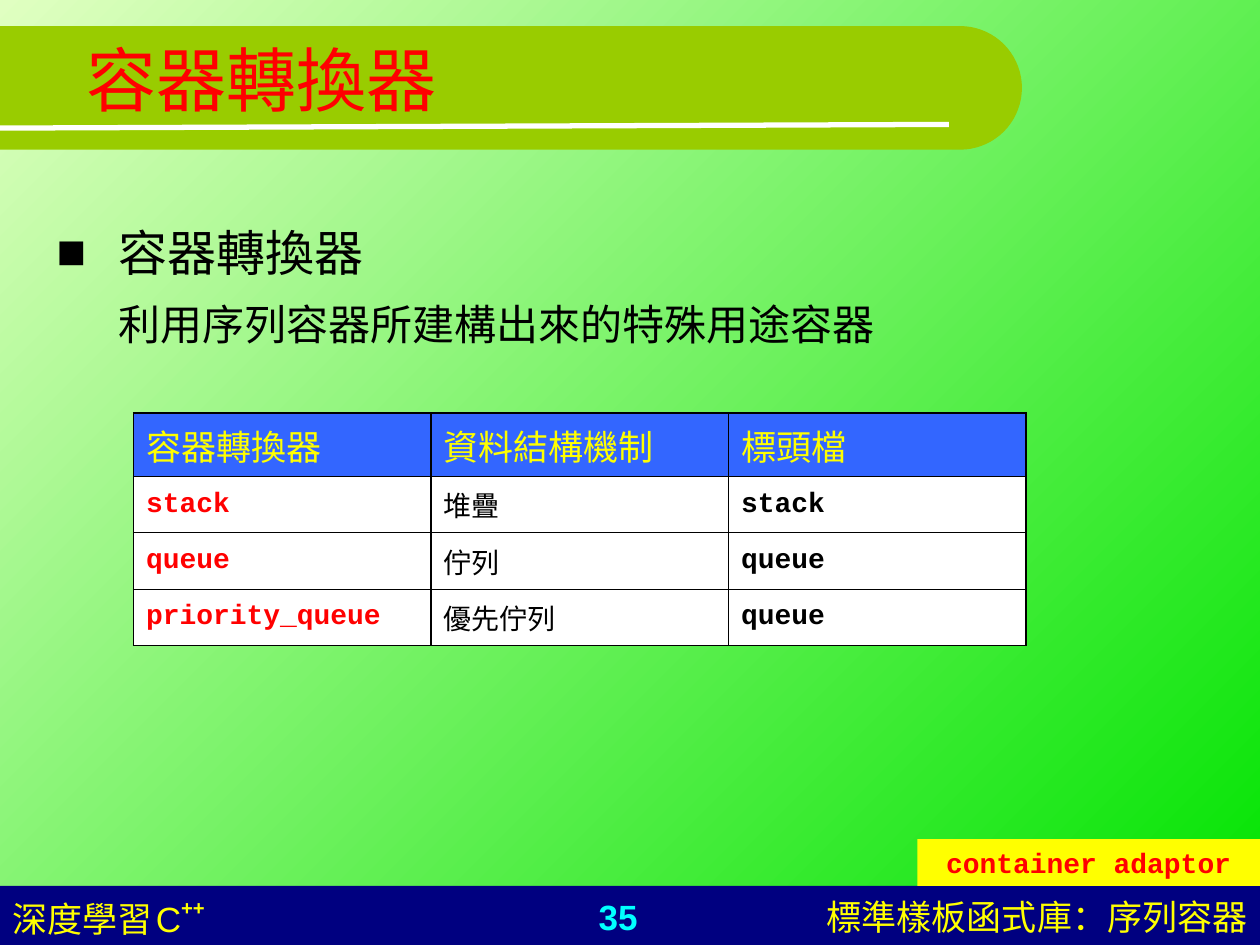
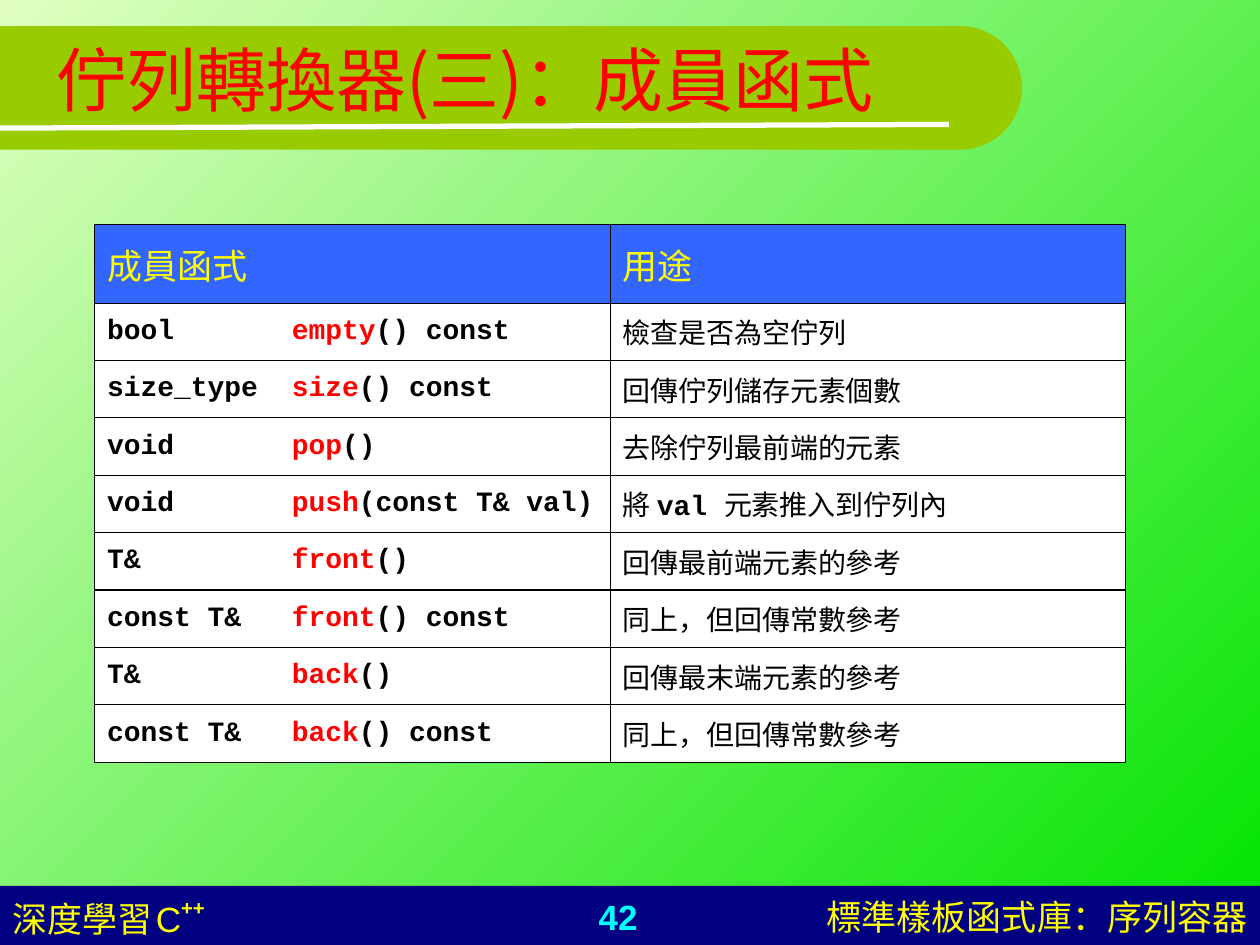
import math

from lxml import etree
from pptx import Presentation
from pptx.dml.color import RGBColor
from pptx.enum.shapes import MSO_CONNECTOR, MSO_SHAPE
from pptx.enum.text import MSO_ANCHOR, MSO_AUTO_SIZE, PP_ALIGN
from pptx.oxml.ns import qn
from pptx.util import Pt

STRAIGHT = MSO_CONNECTOR.STRAIGHT
RECTANGLE = MSO_SHAPE.RECTANGLE
MIDDLE, TOP = MSO_ANCHOR.MIDDLE, MSO_ANCHOR.TOP
NO_AUTOFIT = MSO_AUTO_SIZE.NONE
LEFT, CENTER, RIGHT = PP_ALIGN.LEFT, PP_ALIGN.CENTER, PP_ALIGN.RIGHT

BLACK = RGBColor(0x00, 0x00, 0x00)
WHITE = RGBColor(0xFF, 0xFF, 0xFF)
RED = RGBColor(0xFF, 0x00, 0x00)
YELLOW = RGBColor(0xFF, 0xFF, 0x00)
CYAN = RGBColor(0x00, 0xFF, 0xFF)
NAVY = RGBColor(0x00, 0x00, 0x80)
OLIVE = RGBColor(0x99, 0xCC, 0x00)
HEADER_BLUE = RGBColor(0x33, 0x66, 0xFF)
PALE_GREEN = RGBColor(0xE0, 0xFF, 0xC1)
BRIGHT_GREEN = RGBColor(0x00, 0xE4, 0x00)

SANS, MONO = "Arial", "Courier New"
CJK, CJK_SC = "Noto Sans CJK TC", "Noto Sans CJK SC"

SLIDE_WIDTH, SLIDE_HEIGHT = 720, 540
FOOTER_TOP = 506.2
NAME_TAB = 105.6

ADAPTOR_HEADINGS = ["容器轉換器", "資料結構機制", "標頭檔"]
ADAPTORS = [
    ("stack", "堆疊", "stack"),
    ("queue", "佇列", "queue"),
    ("priority_queue", "優先佇列", "queue"),
]
MEMBER_HEADINGS = ["成員函式", "用途"]
MEMBERS = [
    ("bool", "empty", "() const", ["檢查是否為空佇列"]),
    ("size_type", "size", "() const", ["回傳佇列儲存元素個數"]),
    ("void", "pop", "()", ["去除佇列最前端的元素"]),
    ("void", "push", "(const T& val)", ["將 ", "val ", "元素推入到佇列內"]),
    ("T&", "front", "()", ["回傳最前端元素的參考"]),
    ("const T&", "front", "() const", ["同上，但回傳常數參考"]),
    ("T&", "back", "()", ["回傳最末端元素的參考"]),
    ("const T&", "back", "() const", ["同上，但回傳常數參考"]),
]


def points(box):
    """Turn a box of plain numbers into lengths."""
    return [Pt(length) for length in box]


def add_run(paragraph, text, size, color, font=SANS, bold=False, asian=CJK):
    """Append one formatted run and return its properties element."""
    run = paragraph.add_run()
    run.text = text
    run.font.size = Pt(size)
    run.font.bold = bold
    run.font.color.rgb = color
    run.font.name = font
    properties = run._r.get_or_add_rPr()
    etree.SubElement(properties, qn("a:ea"), typeface=asian)
    return properties


def paint(shape, color):
    """Give a shape a flat fill without outline or shadow."""
    shape.shadow.inherit = False
    shape.fill.solid()
    shape.fill.fore_color.rgb = color
    shape.line.fill.background()


def draw_title_band(shapes, box):
    """Draw the title band with its round right end and white underline."""
    left, top, width, height = box
    radius = height / 2
    center_x, center_y = left + width - radius, top + radius
    arc = [
        (Pt(center_x + radius * math.cos(math.radians(angle))),
         Pt(center_y + radius * math.sin(math.radians(angle))))
        for angle in range(-90, 91, 5)
    ]
    outline = shapes.build_freeform(Pt(left), Pt(top))
    outline.add_line_segments(arc + [(Pt(left), Pt(top + height))])
    band = outline.convert_to_shape()
    paint(band, OLIVE)

    underline = shapes.add_connector(
        STRAIGHT, Pt(left), Pt(top + 58.3), Pt(left + 542.2), Pt(top + 56.2))
    underline.line.color.rgb = WHITE
    underline.line.width = Pt(3)
    etree.SubElement(underline.element.spPr, qn("a:effectLst"))
    return [band, underline]


def decorate_master(master, slide):
    """Set the gradient and move the shared bands behind every slide."""
    fill = master.background.fill
    fill.gradient()
    fill.gradient_angle = 315
    for stop, color in zip(fill.gradient_stops, (PALE_GREEN, BRIGHT_GREEN)):
        stop.color.rgb = color

    footer_band = slide.shapes.add_shape(
        RECTANGLE, *points((0, FOOTER_TOP, SLIDE_WIDTH, SLIDE_HEIGHT - FOOTER_TOP)))
    paint(footer_band, NAVY)
    title_band = draw_title_band(slide.shapes, (0, 14.9, 584, 70.6))
    for index, part in enumerate([footer_band] + title_band):
        part.element[0][0].set("id", str(100 + index))
        master.shapes.element.insert(2 + index, part.element)


def footer_paragraph(slide, box, alignment):
    """Add a footer text box and return its paragraph."""
    frame = slide.shapes.add_textbox(*points(box)).text_frame
    frame.word_wrap = True
    paragraph = frame.paragraphs[0]
    paragraph.alignment = alignment
    return paragraph


def write_footer(slide, page, top):
    """Write the page number, chapter and course name."""
    number = footer_paragraph(slide, (269.3, top, 167.8, 31.7), CENTER)
    add_run(number, page, 20, CYAN, bold=True)

    chapter = footer_paragraph(slide, (405.4, top, 314.6, 31.7), RIGHT)
    for text, font in (("標準樣板函式庫", SANS), ("：", CJK), ("序列容器", SANS)):
        add_run(chapter, text, 20, YELLOW, font)

    course = footer_paragraph(slide, (0, top, 167.8, 31.7), LEFT)
    add_run(course, "深度學習", 20, YELLOW)
    add_run(course, " ", 8, YELLOW)
    add_run(course, "C", 20, YELLOW)
    plus = add_run(course, "++", 20, YELLOW, bold=True)
    plus.set("baseline", "46000")


def place(placeholder, box, anchor):
    """Move a placeholder and return its first paragraph."""
    placeholder.left, placeholder.top, placeholder.width, placeholder.height = points(box)
    frame = placeholder.text_frame
    frame.auto_size = NO_AUTOFIT
    frame.word_wrap = True
    frame.vertical_anchor = anchor
    paragraph = frame.paragraphs[0]
    paragraph.alignment = LEFT
    return paragraph


def write_title(slide, box, parts):
    """Write the title from (text, font, Asian font) parts."""
    title = place(slide.shapes.title, box, MIDDLE)
    for text, font, asian in parts:
        add_run(title, text, 40, RED, font, asian=asian)


def write_definition(slide, box):
    """Write the bulleted term with its explanation below."""
    definition = place(slide.placeholders[1], box, TOP)
    definition.line_spacing = 1.35
    definition.space_before = Pt(12)
    properties = definition._p.get_or_add_pPr()
    properties.set("marL", str(Pt(35.3)))
    properties.set("indent", str(Pt(-35.3)))
    bullet_color = etree.SubElement(properties, qn("a:buClr"))
    etree.SubElement(bullet_color, qn("a:srgbClr"), val=str(BLACK))
    etree.SubElement(properties, qn("a:buFont"), typeface=SANS)
    etree.SubElement(properties, qn("a:buChar"), char="■")
    add_run(definition, "容器轉換器", 28, BLACK, MONO)
    definition.add_line_break()
    etree.SubElement(definition._p[-1], qn("a:rPr"), sz="2800")
    add_run(definition, "利用序列容器所建構出來的特殊用途容器", 24, BLACK, MONO)


def add_borders(cell):
    """Draw thin black lines around a cell."""
    properties = cell._tc.get_or_add_tcPr()
    for index, side in enumerate(("lnL", "lnR", "lnT", "lnB")):
        line = etree.Element(qn(f"a:{side}"), w=str(Pt(0.75)))
        fill = etree.SubElement(line, qn("a:solidFill"))
        etree.SubElement(fill, qn("a:srgbClr"), val=str(BLACK))
        properties.insert(index, line)


def fill_cell(cell, runs, size, space, background):
    """Write (text, colour, bold) runs into a bordered cell."""
    cell.fill.solid()
    cell.fill.fore_color.rgb = background
    cell.vertical_anchor = MIDDLE
    add_borders(cell)
    paragraph = cell.text_frame.paragraphs[0]
    paragraph.space_before = Pt(space)
    if any("\t" in text for text, _, _ in runs):
        tabs = etree.SubElement(paragraph._p.get_or_add_pPr(), qn("a:tabLst"))
        etree.SubElement(tabs, qn("a:tab"), pos=str(Pt(NAME_TAB)), algn="l")
    for text, color, bold in runs:
        add_run(paragraph, text, size, color, MONO, bold)


def draw_table(slide, box, header_height, headings, body):
    """Draw a table with equal columns and equal body rows."""
    height = box[3]
    table = slide.shapes.add_table(len(body) + 1, len(headings), *points(box)).table
    table.first_row = table.horz_banding = False
    for column in table.columns:
        column.width = Pt(box[2] / len(headings))
    for index, row in enumerate(table.rows):
        row.height = Pt((height - header_height) / len(body) if index else header_height)
    for column, heading in enumerate(headings):
        fill_cell(table.cell(0, column), [(heading, YELLOW, False)], 20, 5, HEADER_BLUE)
    for row, contents in enumerate(body, 1):
        for column, runs in enumerate(contents):
            fill_cell(table.cell(row, column), runs, 16, 4, WHITE)


def draw_term(slide, box):
    """Draw the yellow label with the English term."""
    label = slide.shapes.add_shape(RECTANGLE, *points(box))
    paint(label, YELLOW)
    label.text_frame.word_wrap = True
    label.text_frame.vertical_anchor = TOP
    term = label.text_frame.paragraphs[0]
    term.alignment = CENTER
    term.space_before = Pt(10)
    add_run(term, "container adaptor", 16, RED, MONO, True)


def build_adaptor_slide(slide):
    """Fill the slide that introduces the container adaptors."""
    write_title(slide, (42.5, 0, 357, 90), [("容器轉換器", SANS, CJK)])
    write_definition(slide, (25.2, 111.6, 646.6, 96.5))
    body = [
        ([(name, RED, True)], [(structure, BLACK, False)], [(header, BLACK, True)])
        for name, structure, header in ADAPTORS
    ]
    draw_table(slide, (76.3, 236, 510, 132.6), 36, ADAPTOR_HEADINGS, body)
    draw_term(slide, (524.2, 479.5, 195.8, 26.7))
    write_footer(slide, "35", 508.3)


def build_member_slide(slide):
    """Fill the slide that lists the member functions of the queue."""
    write_title(slide, (25.2, 0, 648, 90), [
        ("佇列轉換器(三)", CJK_SC, CJK_SC), ("：成員函式", SANS, CJK)])
    body = [
        ([(f"{result}\t", BLACK, True), (name, RED, True), (signature, BLACK, True)],
         [(text, BLACK, text.isascii()) for text in purpose])
        for result, name, signature, purpose in MEMBERS
    ]
    draw_table(slide, (54, 128.2, 589.4, 307.4), 45, MEMBER_HEADINGS, body)
    write_footer(slide, "42", 508.3)


def main():
    """Build both slides and save them."""
    deck = Presentation()
    deck.slide_width, deck.slide_height = Pt(SLIDE_WIDTH), Pt(SLIDE_HEIGHT)
    adaptor_slide = deck.slides.add_slide(deck.slide_layouts[1])
    member_slide = deck.slides.add_slide(deck.slide_layouts[5])
    decorate_master(deck.slide_master, adaptor_slide)
    build_adaptor_slide(adaptor_slide)
    build_member_slide(member_slide)
    deck.save("out.pptx")


if __name__ == "__main__":
    main()
